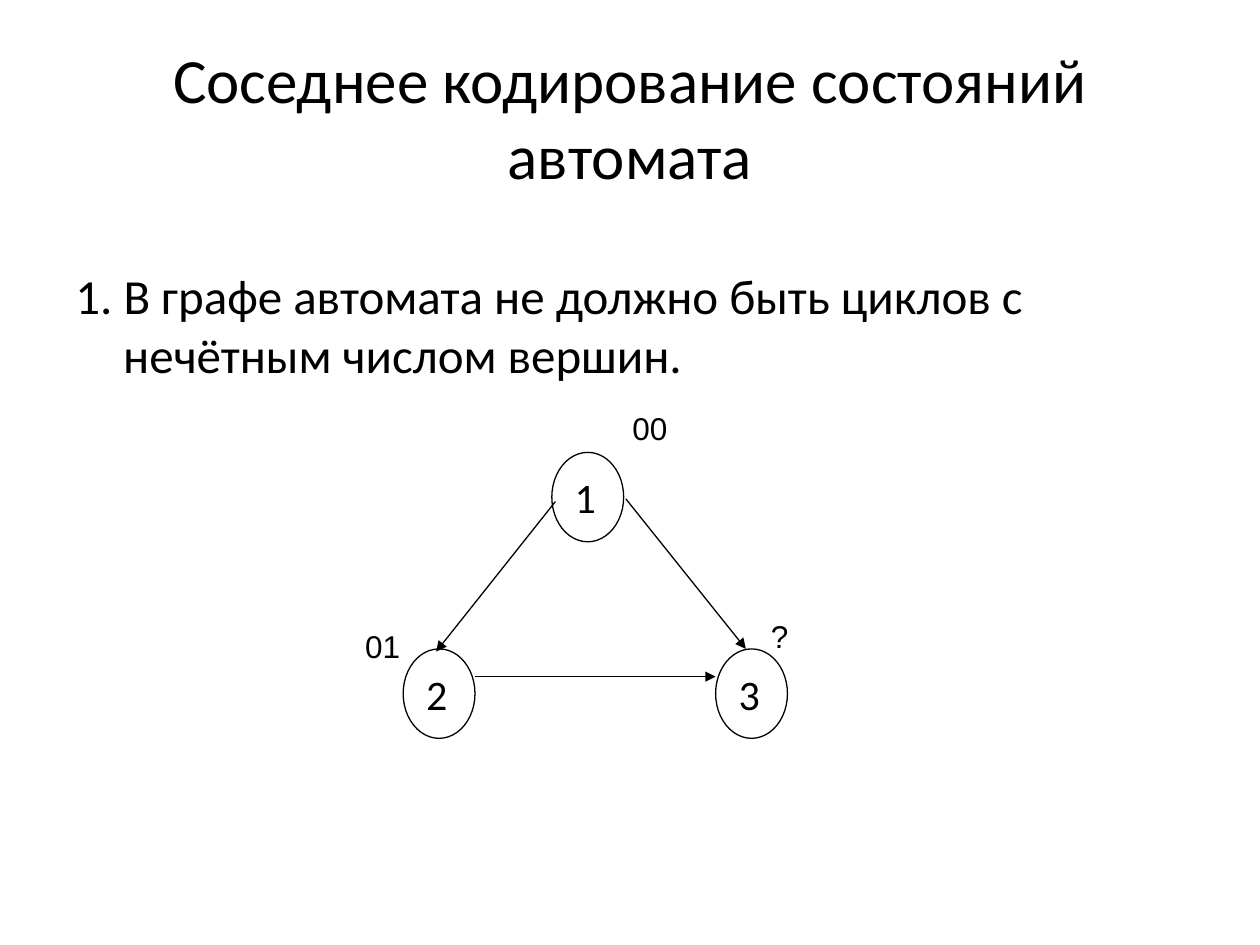
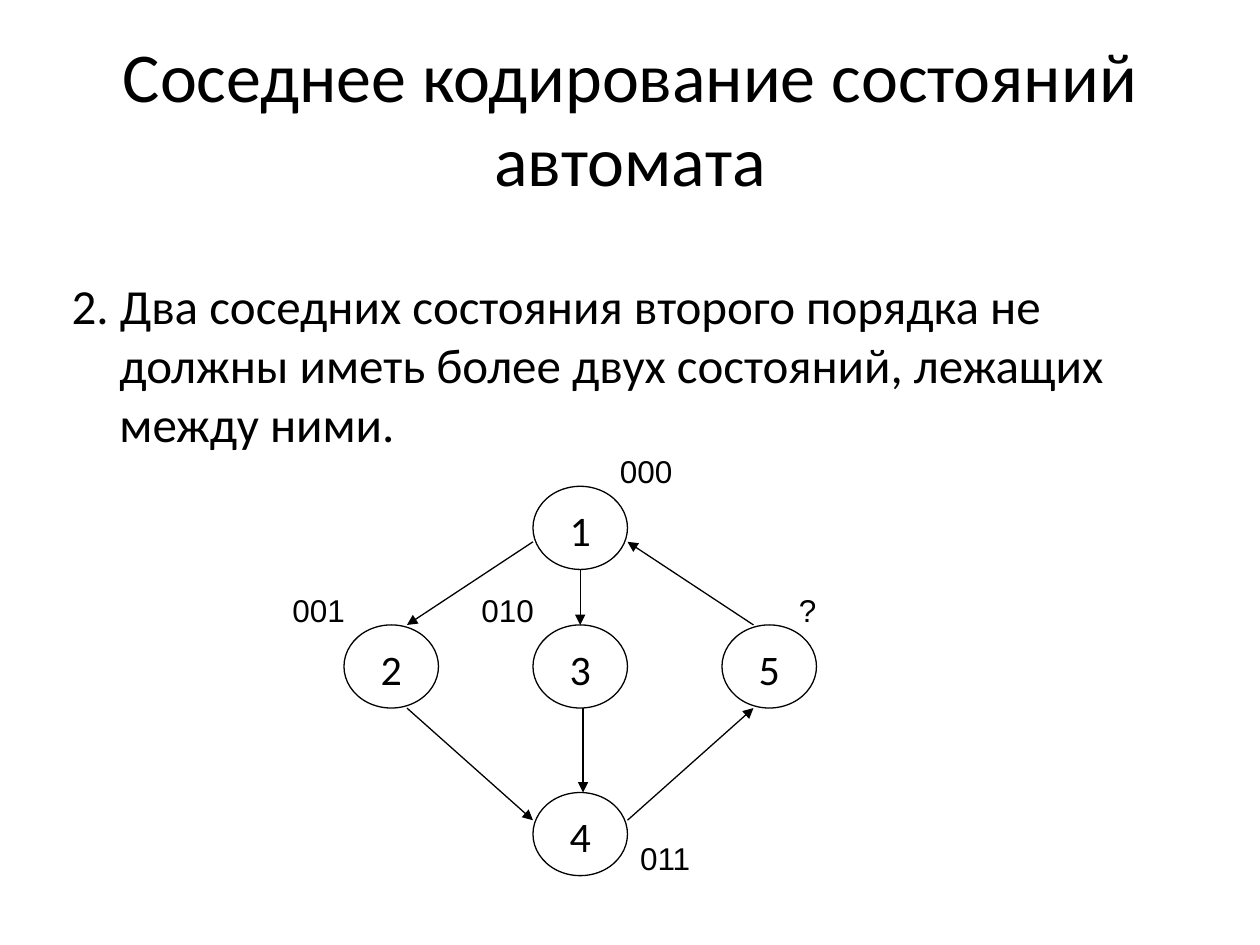
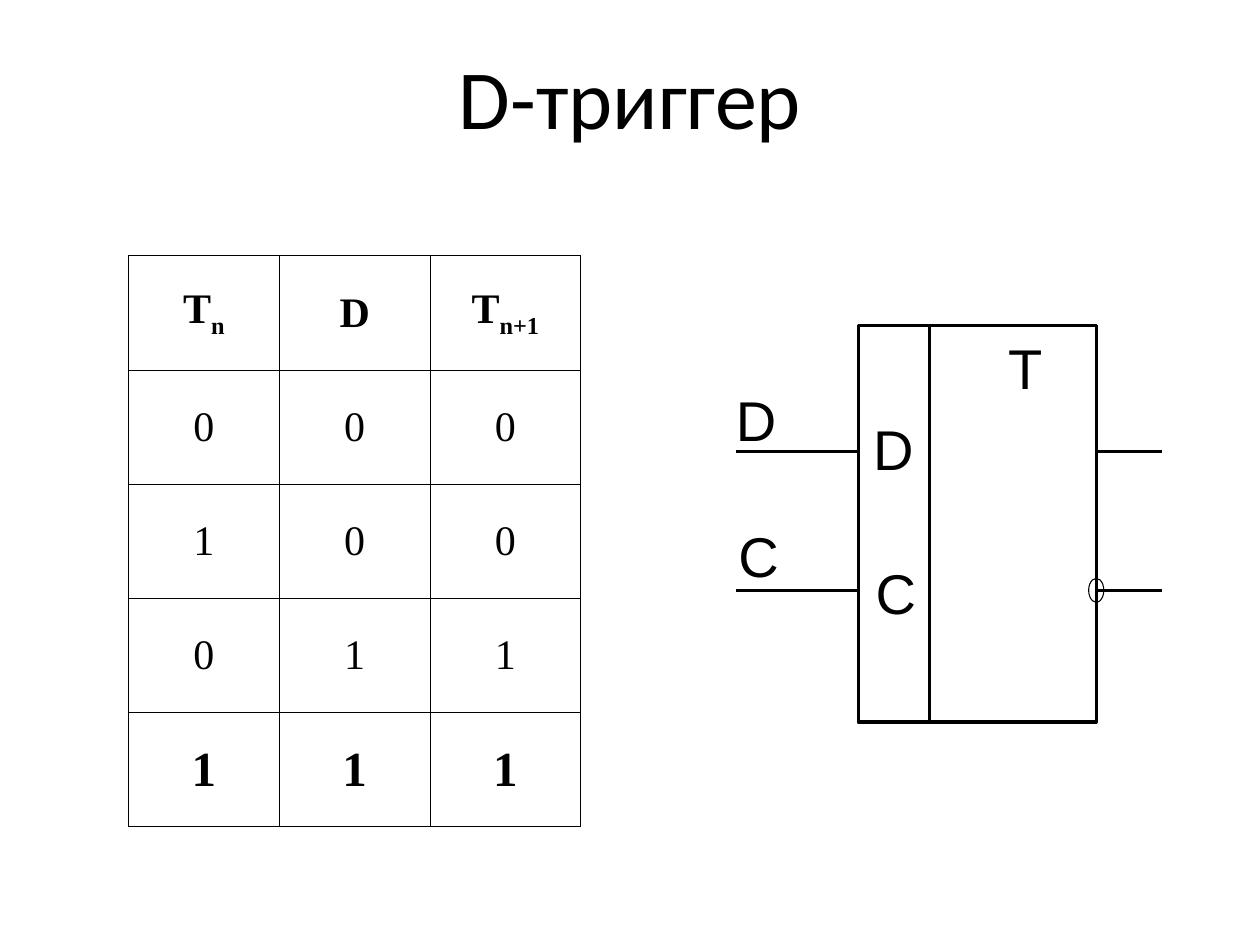
import dataclasses

import pptx
import pptx.dml.color
import pptx.enum.shapes
import pptx.enum.text
import pptx.oxml
import pptx.oxml.ns
import pptx.util

ANCHOR = pptx.enum.text.MSO_ANCHOR
ALIGN = pptx.enum.text.PP_ALIGN
FIT = pptx.enum.text.MSO_AUTO_SIZE
SHAPE = pptx.enum.shapes.MSO_SHAPE
COLS, ROWS = 100, 75  # grid cells across and down the slide


@dataclasses.dataclass(frozen=True)
class Theme:
    ink: str = "000000"
    paper: str = "FFFFFF"
    main: str = "Calibri"
    code: str = "Arial"
    cell: str = "Times New Roman"
    body: int = 28
    node: int = 24
    label: int = 18
    pin: int = 32
    row: int = 24
    last: int = 28
    thin: float = 0.75
    wide: float = 1.75
    ring: float = 0.62
    rule: float = 0.45


THEME = Theme()
INK = pptx.dml.color.RGBColor.from_string(THEME.ink)
PAPER = pptx.dml.color.RGBColor.from_string(THEME.paper)
WIDTH, HEIGHT = pptx.util.Inches(10), pptx.util.Inches(7.5)


def grid(*units):
    """Turn alternating column and row counts into lengths."""
    steps = WIDTH / COLS, HEIGHT / ROWS
    return [round(unit * steps[i % 2]) for i, unit in enumerate(units)]


def apply(target, values):
    for name, value in values.items():
        setattr(target, name, value)


def write(para, text, face, size, bold=False, base=0):
    run = para.add_run()
    run.text = text
    apply(run.font, {"name": face, "size": pptx.util.Pt(size), "bold": bold})
    run.font.color.rgb = INK
    if base:
        run._r.get_or_add_rPr().set("baseline", str(base * 1000))


def frame(shape, pad, **values):
    """Set the text frame's padding in grid units and its other values."""
    side, top = grid(*pad)
    text = shape.text_frame
    apply(text, {"margin_left": side, "margin_right": side,
                 "margin_top": top, "margin_bottom": top,
                 "word_wrap": True, "vertical_anchor": ANCHOR.TOP, **values})
    return text.paragraphs[0]


def stroke(shape, width):
    shape.line.color.rgb = INK
    shape.line.width = pptx.util.Pt(width)


def start(deck, title, size, high):
    slide = deck.slides.add_slide(deck.slide_layouts[5])
    head = slide.shapes.title
    left, top, width, height = grid(5, 3, 90, high)
    apply(head, {"left": left, "top": top, "width": width, "height": height})
    para = frame(head, (1, 0.5), vertical_anchor=ANCHOR.MIDDLE,
                 auto_size=FIT.NONE)
    para.alignment = ALIGN.CENTER
    write(para, title, THEME.main, size)
    return slide


def body(slide, text, box):
    para = frame(slide.shapes.add_textbox(*grid(*box)), (1, 0.5))
    para.space_before = pptx.util.Pt(7)
    hang = grid(3.8)[0]
    para._p.get_or_add_pPr().set("marL", str(hang))
    para._p.get_or_add_pPr().set("indent", str(-hang))
    write(para, text, THEME.main, THEME.body)


def label(slide, text, box, size, pad=(0, 0), wrap=True):
    para = frame(slide.shapes.add_textbox(*grid(*box)), pad, word_wrap=wrap,
                 auto_size=FIT.SHAPE_TO_FIT_TEXT)
    write(para, text, THEME.code, size)


def oval(slide, box, width):
    shape = slide.shapes.add_shape(SHAPE.OVAL, *grid(*box))
    shape.shadow.inherit = False
    stroke(shape, width)
    return shape


def line(slide, ends, width, arrow=False):
    link = slide.shapes.add_connector(
        pptx.enum.shapes.MSO_CONNECTOR.STRAIGHT, *grid(*ends))
    stroke(link, width)
    if arrow:
        tip = pptx.oxml.ns.qn("a:tailEnd")
        link.line._get_or_add_ln().makeelement(tip)
        end = pptx.oxml.parse_xml(
            f'<a:tailEnd {pptx.oxml.ns.nsdecls("a")} type="triangle"/>')
        link.line._get_or_add_ln().append(end)
    link._element.spPr.append(
        pptx.oxml.parse_xml(f'<a:effectLst {pptx.oxml.ns.nsdecls("a")}/>'))


def graph(slide, nodes, size, edges, codes, code, pad, align):
    """Draw nodes by corner, edges by shares of a node, codes by offset."""
    wide, high = size
    for name, (x, y) in nodes.items():
        shape = oval(slide, (x, y, wide, high), THEME.thin)
        shape.fill.solid()
        shape.fill.fore_color.rgb = PAPER
        para = frame(shape, (1, 0.5))
        apply(para, {"alignment": align, "space_after": pptx.util.Pt(10)})
        write(para, name, THEME.main, THEME.node)

    def spot(name, across, down):
        x, y = nodes[name]
        return x + across * wide, y + down * high

    for tail, head in edges:
        line(slide, spot(*tail) + spot(*head), THEME.thin, arrow=True)
    for name, text, dx, dy in codes:
        x, y = nodes[name]
        label(slide, text, (x + dx, y + dy, *code), THEME.label, pad)


def rule(cell):
    props = cell._tc.get_or_add_tcPr()
    for side in "LRTB":
        props.append(pptx.oxml.parse_xml(
            f'<a:ln{side} {pptx.oxml.ns.nsdecls("a")} '
            f'w="{pptx.util.Pt(THEME.rule)}"><a:solidFill>'
            f'<a:srgbClr val="{THEME.ink}"/></a:solidFill></a:ln{side}>'))
    cell.fill.background()


def table(slide, rows, box):
    grid_box = grid(*box)
    tab = slide.shapes.add_table(len(rows), len(rows[0]), *grid_box).table
    apply(tab, {"first_row": False, "horz_banding": False})
    side, top = grid(0.7, 0.5)
    final = len(rows) - 1
    for r, row in enumerate(rows):
        for c, text in enumerate(row):
            cell = tab.cell(r, c)
            apply(cell, {"margin_left": side, "margin_right": side,
                         "margin_top": top, "margin_bottom": top,
                         "vertical_anchor": ANCHOR.MIDDLE})
            rule(cell)
            para = cell.text_frame.paragraphs[0]
            para.alignment = ALIGN.CENTER
            size = THEME.last if r == final else THEME.row
            name, _, sub = text.partition("_")
            bold = r in (0, final)
            write(para, name, THEME.cell, size, bold)
            if sub:
                write(para, sub, THEME.cell, size, bold, base=-25)


def chip(slide, left, split, right, top, foot):
    """Outline a block with a pin column on its left."""
    points = [(split, top), (right, top), (right, foot), (split, foot),
              (split, top), (left, top), (left, foot), (split, foot),
              (split, top)]
    points = [grid(*point) for point in points]
    pen = slide.shapes.build_freeform(*points[0])
    pen.add_line_segments(points[1:], close=False)
    shape = pen.convert_to_shape()
    shape.shadow.inherit = False
    shape.fill.background()
    stroke(shape, THEME.wide)


def cycle(deck):
    slide = start(deck, "Соседнее кодирование состояний автомата", 36, 12.5)
    body(slide, "1. В графе автомата не должно быть циклов с нечётным "
         "числом вершин.", (5, 20.6, 90, 11.4))
    nodes = {"1": (43.8, 35.9), "2": (32, 51.5), "3": (56.8, 51.5)}
    edges = [(("2", 1, 0.31), ("3", 0, 0.31)),
             (("1", 1.03, 0.52), ("3", 0.42, 0)),
             (("1", 0.05, 0.55), ("2", 0.46, 0.03))]
    codes = [("1", "00", 5.4, -3.9), ("2", "01", -4, -2.2),
             ("3", "?", 3.4, -3)]
    graph(slide, nodes, (5.7, 7.1), edges, codes, (5.5, 4), (1, 0.5),
          ALIGN.LEFT)


def order(deck):
    slide = start(deck, "Соседнее кодирование состояний автомата", 40, 12.5)
    body(slide, "2. Два соседних состояния второго порядка не должны иметь "
         "более двух состояний, лежащих между ними.", (4.7, 21.4, 90, 16.1))
    left, mid, right = (27.3 + 15 * i for i in range(3))
    nodes = {"1": (mid, 38.6), "2": (left, 49.6), "5": (right, 49.6),
             "3": (mid, 49.6), "4": (mid, 62.9)}
    near, far = 1 / 3, 2 / 3
    edges = [(("1", 0, far), ("2", far, 0)),
             (("5", near, 0), ("1", 1, far)),
             (("1", 0.5, 1), ("3", 0.5, 0)),
             (("3", 0.53, 1), ("4", 0.53, 0)),
             (("4", 1, near), ("5", near, 1)),
             (("2", far, 1), ("4", 0, near))]
    codes = [("1", "000", 6.9, -2.7), ("2", "001", -4.1, -2.7),
             ("3", "010", -4.1, -2.7), ("5", "?", 6.1, -2.7),
             ("4", "011", 8.5, 3.7)]
    graph(slide, nodes, (7.5, 6.6), edges, codes, (4.7, 3), (0, 0),
          ALIGN.CENTER)


def latch(deck):
    slide = start(deck, "D-триггер", 48, 9.3)
    table(slide, [("T_n", "D", "Т_n+1"), "000", "100", "011", "111"],
          (10.2, 20.3, 35.9, 45.3))
    left, right, data, clock = 68.1, 87, 35.8, 46.9
    chip(slide, left, 73.8, right, 25.8, 57.3)
    for y in (data, clock):
        line(slide, (left, y, 58.4, y), THEME.wide)
        line(slide, (right, y, 92.2, y), THEME.wide)
    oval(slide, (86.4, 45.9, 1.2, 1.9), THEME.ring).fill.background()
    for text, x, y, wide in (("D", 69.3, 32.9, 3.3), ("C", 69.5, 44.3, 2.8),
                             ("T", 80, 26.5, 2.5), ("D", 58.4, 30.6, 3.3),
                             ("C", 58.6, 41.4, 2.8)):
        label(slide, text, (x, y, wide, 5.3), THEME.pin, wrap=False)


def main():
    deck = pptx.Presentation()
    apply(deck, {"slide_width": WIDTH, "slide_height": HEIGHT})
    for draw in (cycle, order, latch):
        draw(deck)
    deck.save("out.pptx")


if __name__ == "__main__":
    main()
